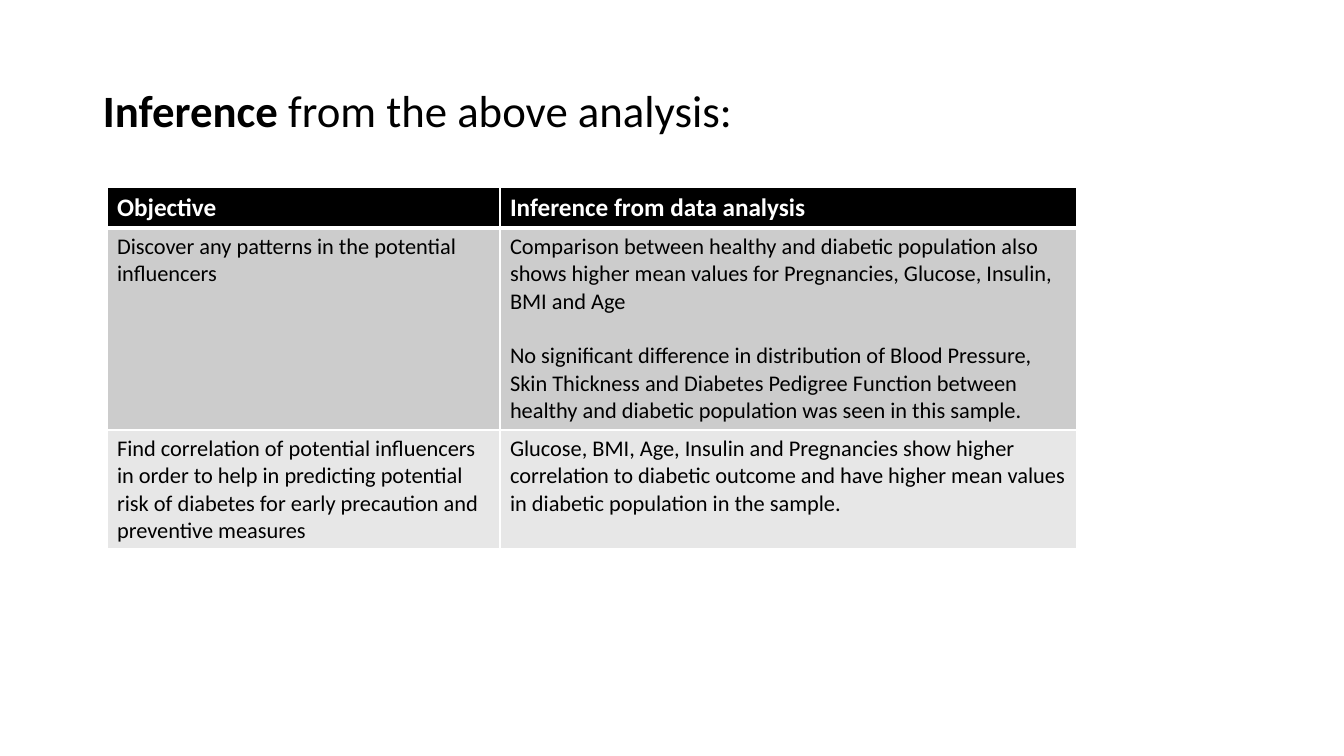
from dataclasses import dataclass

from lxml import etree
from pptx import Presentation
from pptx import util as u
from pptx.dml.color import RGBColor
from pptx.enum import text
from pptx.oxml.ns import qn
from pptx.slide import Slide
from pptx.table import _Cell
from pptx.text.text import TextFrame

EMU_PER_PX = 914400 / 100.8


@dataclass(frozen=True)
class Theme:
    font: str = "Calibri"
    black: str = "000000"
    white: str = "FFFFFF"
    dark_band: str = "CCCCCC"
    light_band: str = "E7E7E7"
    title_size: float = 32
    header_size: float = 18
    body_size: float = 16
    paragraph_gap: float = 19.5
    rule: float = 1
    header_rule: float = 3


THEME = Theme()


@dataclass(frozen=True)
class Row:
    height: int
    fill: str
    objective: str
    inferences: tuple[str, ...]
    color: str = THEME.black
    size: float = THEME.body_size
    bold: bool = False
    top_rule: float = THEME.rule
    bottom_rule: float = THEME.rule


COLUMN_WIDTHS = (393, 577)
ROWS = (
    Row(41, THEME.black, "Objective", ("Inference from data analysis",),
        color=THEME.white, size=THEME.header_size, bold=True,
        bottom_rule=THEME.header_rule),
    Row(202, THEME.dark_band,
        "Discover any patterns in the potential influencers",
        ("Comparison between healthy and diabetic population also shows higher "
         "mean values for Pregnancies, Glucose, Insulin, BMI and Age",
         "No significant difference in distribution of Blood Pressure, Skin "
         "Thickness and Diabetes Pedigree Function between healthy and diabetic "
         "population was seen in this sample."),
        top_rule=THEME.header_rule),
    Row(119, THEME.light_band,
        "Find correlation of potential influencers in order to help in predicting "
        "potential risk of diabetes for early precaution and preventive measures",
        ("Glucose, BMI, Age, Insulin and Pregnancies show higher correlation to "
         "diabetic outcome and have higher mean values in diabetic population in "
         "the sample.",)),
)


def px(length: int) -> u.Emu:
    return u.Emu(round(length * EMU_PER_PX))


def write(frame: TextFrame, content: str, *, size: float, color: str = THEME.black,
          bold: bool = False, new_paragraph: bool = False) -> None:
    """Append a run to the last paragraph, or to a new one set apart by a gap."""
    if new_paragraph:
        paragraph = frame.add_paragraph()
        paragraph.space_before = u.Pt(THEME.paragraph_gap)
    else:
        paragraph = frame.paragraphs[-1]
    run = paragraph.add_run()
    run.text = content
    run.font.name = THEME.font
    run.font.size = u.Pt(size)
    run.font.bold = bold
    run.font.color.rgb = RGBColor.from_string(color)


def set_borders(cell: _Cell, top: float, bottom: float) -> None:
    properties = cell._tc.get_or_add_tcPr()
    widths = {"lnL": THEME.rule, "lnR": THEME.rule, "lnT": top, "lnB": bottom}
    for tag, width in widths.items():
        line = etree.SubElement(properties, qn(f"a:{tag}"), w=str(int(u.Pt(width))))
        fill = etree.SubElement(line, qn("a:solidFill"))
        etree.SubElement(fill, qn("a:srgbClr"), val=THEME.white)


def add_title(slide: Slide) -> None:
    frame = slide.shapes.add_textbox(px(93), px(40), px(1159), px(146)).text_frame
    frame.word_wrap = True
    frame.vertical_anchor = text.MSO_ANCHOR.MIDDLE
    frame.paragraphs[0].line_spacing = 0.9
    write(frame, "Inference", size=THEME.title_size, bold=True)
    write(frame, " from the above analysis:", size=THEME.title_size)


def fill_cell(cell: _Cell, row: Row, paragraphs: tuple[str, ...]) -> None:
    set_borders(cell, row.top_rule, row.bottom_rule)
    cell.fill.solid()
    cell.fill.fore_color.rgb = RGBColor.from_string(row.fill)
    for index, content in enumerate(paragraphs):
        write(cell.text_frame, content, size=row.size, color=row.color,
              bold=row.bold, new_paragraph=index > 0)


def add_inference_table(slide: Slide) -> None:
    width, height = sum(COLUMN_WIDTHS), sum(row.height for row in ROWS)
    table = slide.shapes.add_table(len(ROWS), len(COLUMN_WIDTHS), px(107), px(187),
                                   px(width), px(height)).table
    for column, column_width in zip(table.columns, COLUMN_WIDTHS):
        column.width = px(column_width)
    for index, row in enumerate(ROWS):
        table.rows[index].height = px(row.height)
        fill_cell(table.cell(index, 0), row, (row.objective,))
        fill_cell(table.cell(index, 1), row, row.inferences)


def main() -> None:
    presentation = Presentation()
    presentation.slide_width = px(1344)
    presentation.slide_height = px(756)
    slide = presentation.slides.add_slide(presentation.slide_layouts[6])
    add_title(slide)
    add_inference_table(slide)
    presentation.save("out.pptx")


if __name__ == "__main__":
    main()
